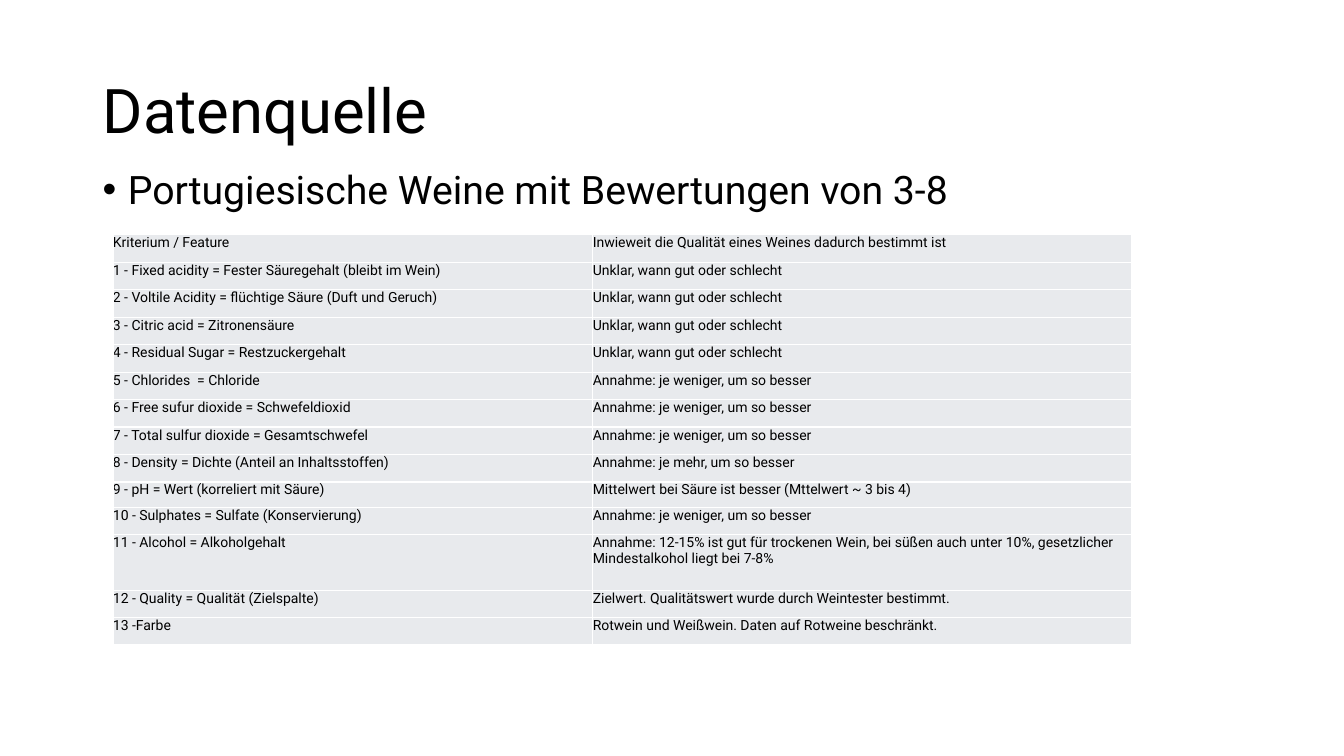
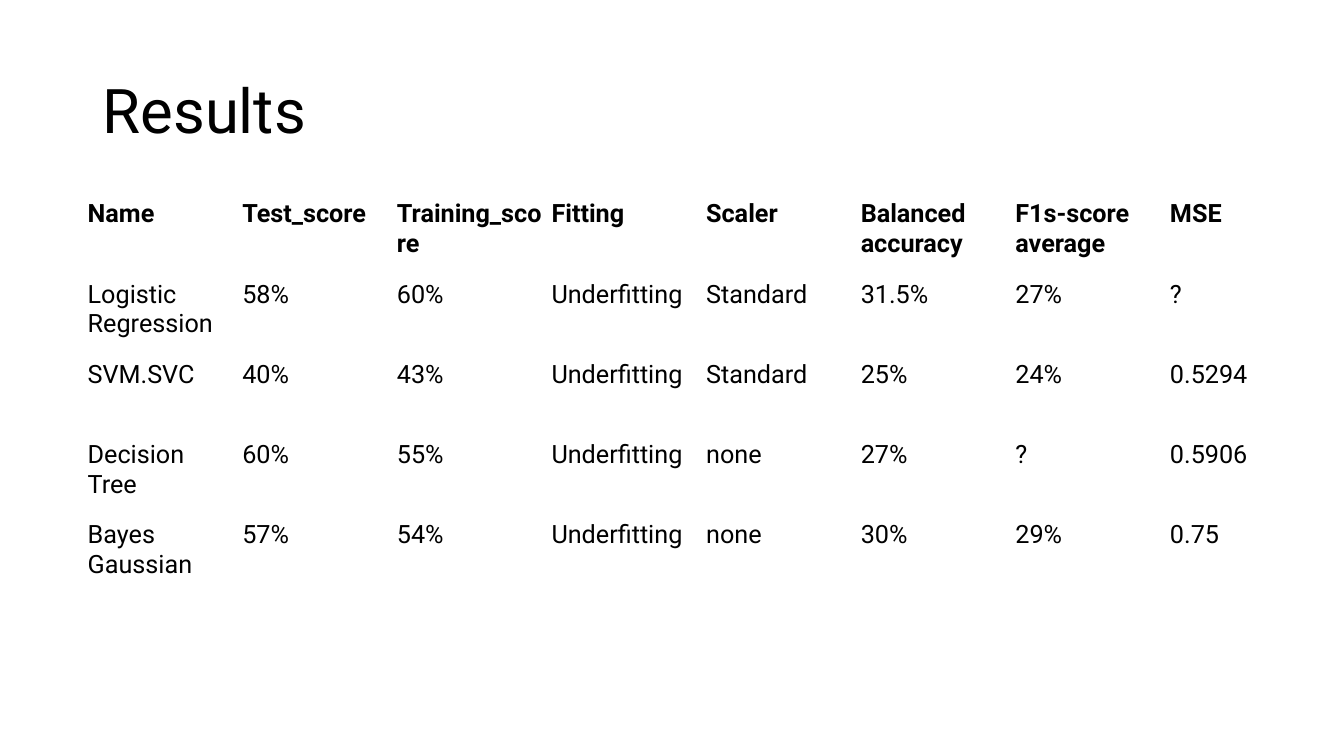
from lxml.etree import SubElement
from pptx import Presentation
from pptx.dml.color import RGBColor
from pptx.enum.text import MSO_ANCHOR as Anchor
from pptx.oxml.ns import qn
from pptx.util import Inches, Pt

FONT = "Roboto"
BLACK = "000000"
WHITE = "FFFFFF"
PALE_GREY = "E8EAED"
TITLE_BOX = (0.92, 0.4, 11.5, 1.45)
BODY_BOX = (0.92, 1.64, 11.5, 4.76)
FEATURE_BOX = (1.12, 2.33, 10.1, 4.07)
RESULT_BOX = (0.85, 1.96, 12.27, 3.98)

UNCLEAR = "Unklar, wann gut oder schlecht"
LESS_IS_BETTER = "Annahme: je weniger, um so besser"
FEATURES = [
    ("Kriterium / Feature", "Inwieweit die Qualität eines Weines dadurch bestimmt ist"),
    ("1 - Fixed acidity = Fester Säuregehalt (bleibt im Wein)", UNCLEAR),
    ("2 - Voltile Acidity = flüchtige Säure (Duft und Geruch)", UNCLEAR),
    ("3 - Citric acid = Zitronensäure", UNCLEAR),
    ("4 - Residual Sugar = Restzuckergehalt", UNCLEAR),
    ("5 - Chlorides  = Chloride", LESS_IS_BETTER),
    ("6 - Free sufur dioxide = Schwefeldioxid", LESS_IS_BETTER),
    ("7 - Total sulfur dioxide = Gesamtschwefel", LESS_IS_BETTER),
    ("8 - Density = Dichte (Anteil an Inhaltsstoffen)", "Annahme: je mehr, um so besser"),
    ("9 - pH = Wert (korreliert mit Säure)",
     "Mittelwert bei Säure ist besser (Mttelwert ~ 3 bis 4)"),
    ("10 - Sulphates = Sulfate (Konservierung)", LESS_IS_BETTER),
    ("11 - Alcohol = Alkoholgehalt",
     "Annahme: 12-15% ist gut für trockenen Wein, bei süßen auch unter 10%, "
     "gesetzlicher Mindestalkohol liegt bei 7-8%"),
    ("12 - Quality = Qualität (Zielspalte)",
     "Zielwert. Qualitätswert wurde durch Weintester bestimmt."),
    ("13 -Farbe", "Rotwein und Weißwein. Daten auf Rotweine beschränkt."),
]
SPECIAL_ROW_HEIGHTS = {9: 0.25, 11: 0.55}

RESULTS = [
    ("Name", "Test_score", "Training_score", "Fitting", "Scaler",
     "Balanced accuracy", "F1s-score average", "MSE"),
    ("Logistic Regression", "58%", "60%", "Underfitting", "Standard", "31.5%", "27%", "?"),
    ("SVM.SVC", "40%", "43%", "Underfitting", "Standard", "25%", "24%", "0.5294"),
    ("Decision Tree", "60%", "55%", "Underfitting", "none", "27%", "?", "0.5906"),
    ("Bayes Gaussian", "57%", "54%", "Underfitting", "none", "30%", "29%", "0.75"),
]


def color(hex_value):
    return RGBColor.from_string(hex_value)


def set_attributes(target, values):
    for name, value in values.items():
        setattr(target, name, value)


def write_text(frame, text, size, bold=False):
    paragraph = frame.paragraphs[0]
    run = paragraph.add_run()
    run.text = text
    set_attributes(run.font, {"name": FONT, "size": Pt(size), "bold": bold})
    run.font.color.rgb = color(BLACK)
    return paragraph


def add_text(slide, box, text, size, anchor):
    frame = slide.shapes.add_textbox(*map(Inches, box)).text_frame
    set_attributes(frame, {"word_wrap": True, "vertical_anchor": anchor})
    paragraph = write_text(frame, text, size)
    paragraph.line_spacing = 0.9
    return paragraph


def add_title(slide, text):
    add_text(slide, TITLE_BOX, text, 44, Anchor.MIDDLE)


def add_bullet(slide, box, text):
    paragraph = add_text(slide, box, text, 28, Anchor.TOP)
    paragraph.space_before = Pt(10)
    properties = paragraph._p.get_or_add_pPr()
    properties.set("marL", str(Inches(0.25)))
    properties.set("indent", str(-Inches(0.25)))
    SubElement(properties, qn("a:buFont"), typeface="Arial")
    SubElement(properties, qn("a:buChar"), char="•")


def set_borders(cell, hex_value, width):
    properties = cell._tc.get_or_add_tcPr()
    for position, side in enumerate(("a:lnL", "a:lnR", "a:lnT", "a:lnB")):
        line = SubElement(properties, qn(side), w=str(Pt(width)))
        fill = SubElement(line, qn("a:solidFill"))
        SubElement(fill, qn("a:srgbClr"), val=hex_value)
        properties.insert(position, line)


def add_table(slide, box, rows, widths, heights, size, inset, bold_header=False, fill=None):
    table = slide.shapes.add_table(len(rows), len(widths), *map(Inches, box)).table
    set_attributes(table, {"first_row": False, "horz_banding": False})
    for column, width in zip(table.columns, widths):
        column.width = Inches(width)
    sides = ("margin_left", "margin_right", "margin_top", "margin_bottom")
    for row_index, (row, texts) in enumerate(zip(table.rows, rows)):
        row.height = Inches(heights[row_index])
        for cell, text in zip(row.cells, texts):
            set_attributes(cell, dict.fromkeys(sides, Inches(inset)))
            write_text(cell.text_frame, text, size, bold_header and row_index == 0)
            if fill:
                cell.fill.solid()
                cell.fill.fore_color.rgb = color(fill)
                set_borders(cell, WHITE, 1)
            else:
                cell.fill.background()


def add_feature_table(slide, box):
    remaining = box[3] - sum(SPECIAL_ROW_HEIGHTS.values())
    regular = remaining / (len(FEATURES) - len(SPECIAL_ROW_HEIGHTS))
    heights = [SPECIAL_ROW_HEIGHTS.get(index, regular) for index in range(len(FEATURES))]
    first_width = 4.76
    widths = [first_width, box[2] - first_width]
    add_table(slide, box, FEATURES, widths, heights, 10, 0, fill=PALE_GREY)


def add_result_table(slide, box):
    row_count, column_count = len(RESULTS), len(RESULTS[0])
    widths = [box[2] / column_count] * column_count
    heights = [box[3] / row_count] * row_count
    add_table(slide, box, RESULTS, widths, heights, 18, 0.02, bold_header=True)


def build_source_slide(slide):
    add_title(slide, "Datenquelle")
    add_bullet(slide, BODY_BOX, "Portugiesische Weine mit Bewertungen von 3-8")
    add_feature_table(slide, FEATURE_BOX)


def build_results_slide(slide):
    add_title(slide, "Results")
    add_result_table(slide, RESULT_BOX)


def main():
    presentation = Presentation()
    set_attributes(presentation, {"slide_width": Inches(13.33), "slide_height": Inches(7.5)})
    for build in (build_source_slide, build_results_slide):
        build(presentation.slides.add_slide(presentation.slide_layouts[6]))
    presentation.save("out.pptx")


if __name__ == "__main__":
    main()
